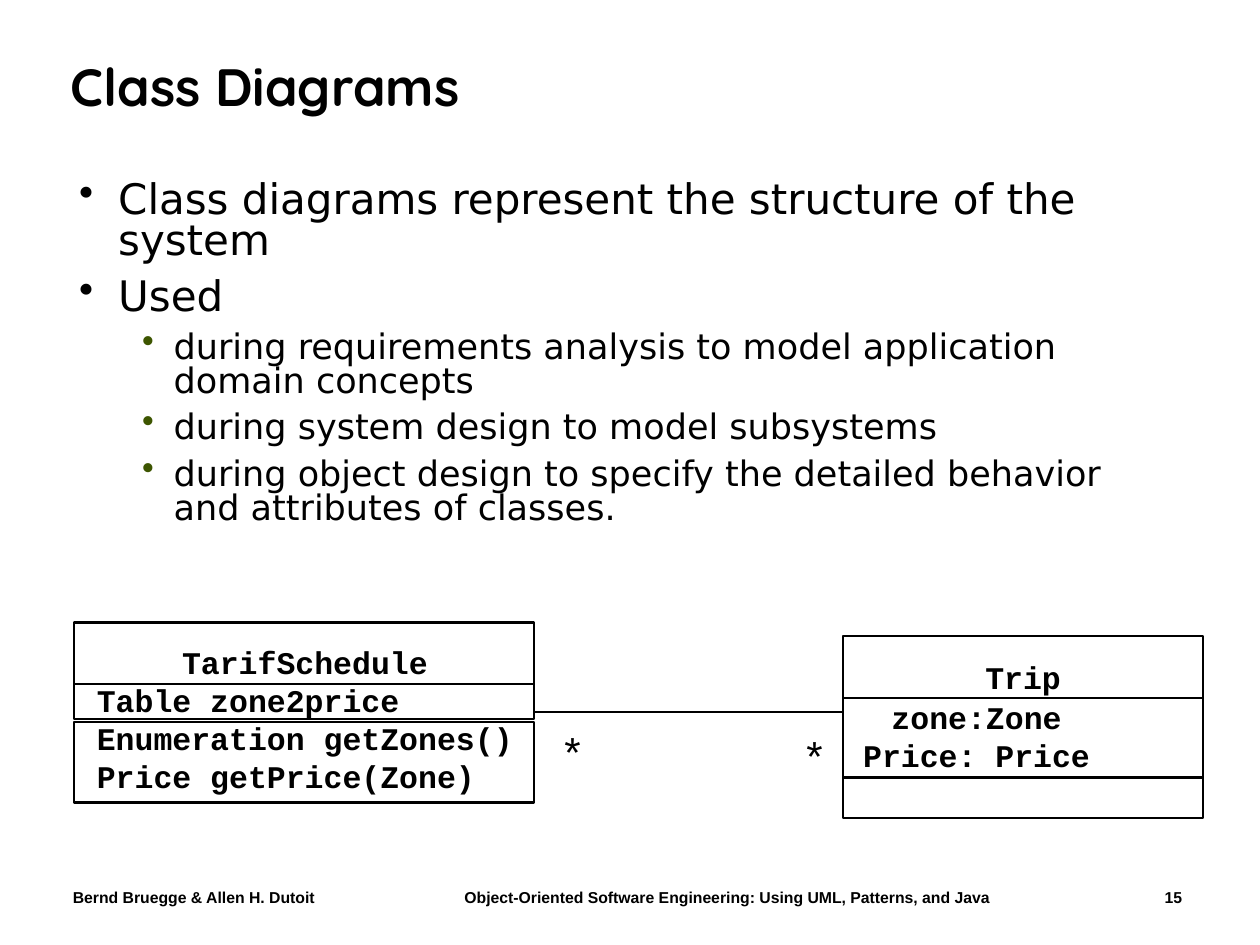
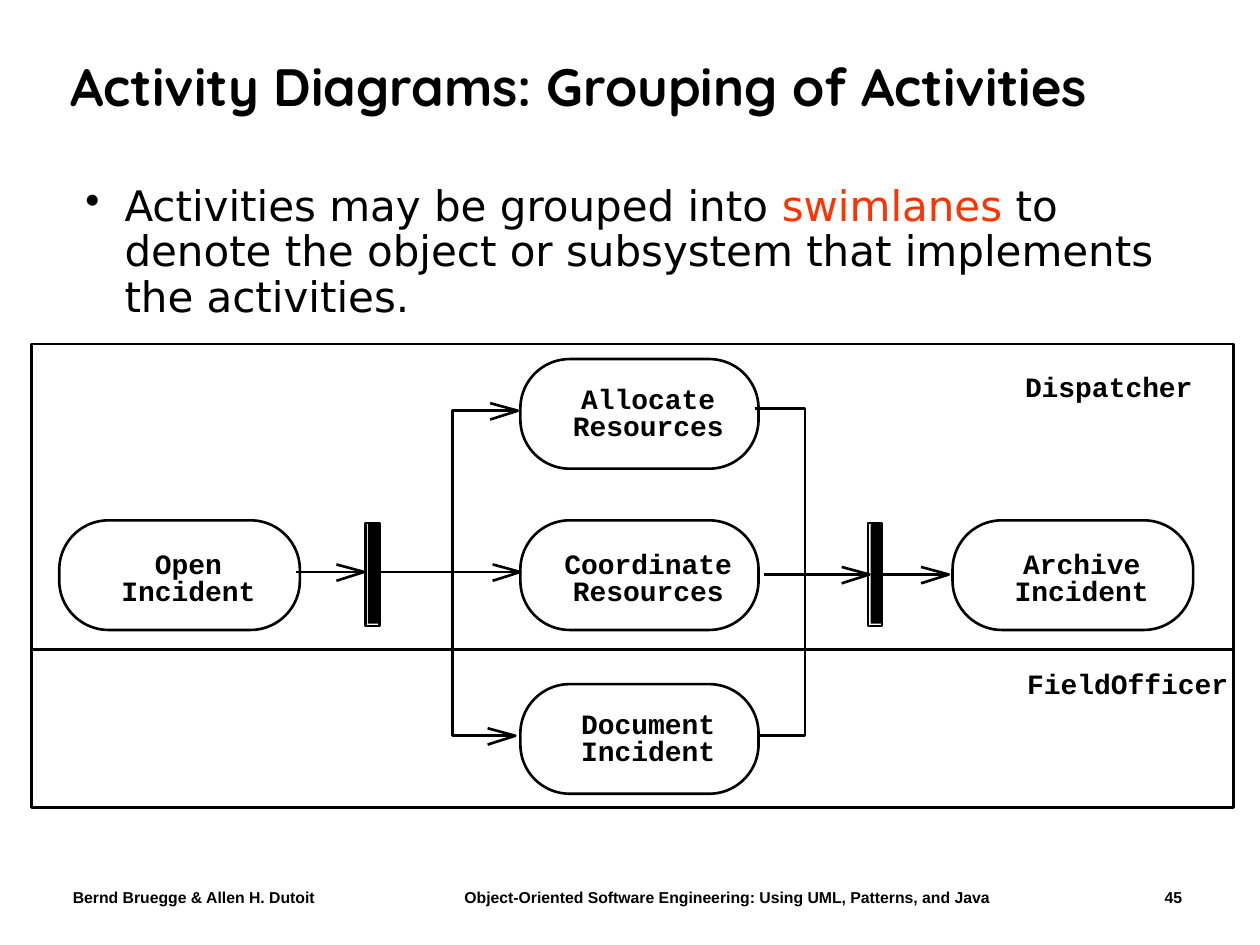
from lxml import etree
from pptx import Presentation
from pptx.dml.color import RGBColor
from pptx.enum.shapes import MSO_CONNECTOR, MSO_SHAPE
from pptx.enum.text import MSO_ANCHOR, PP_ALIGN
from pptx.oxml.ns import qn
from pptx.util import Cm, Pt

LEFT, CENTER, RIGHT = PP_ALIGN.LEFT, PP_ALIGN.CENTER, PP_ALIGN.RIGHT
TOP, MIDDLE = MSO_ANCHOR.TOP, MSO_ANCHOR.MIDDLE
RECT, ROUNDED = MSO_SHAPE.RECTANGLE, MSO_SHAPE.ROUNDED_RECTANGLE
STRAIGHT = MSO_CONNECTOR.STRAIGHT
BLACK, RED, GREEN = "000000", "FF3300", "3D5500"
TITLE_FONT, BODY_FONT, CODE_FONT, PLAIN_FONT = "Quicksand", "DejaVu Sans", "Courier New", "Arial"

# Content: all measures are on an inch grid, converted by size()
FOOTER = [  # text, left, width, alignment
    ("Bernd Bruegge & Allen H. Dutoit", 0.48, 2.6, LEFT),
    ("Object-Oriented Software Engineering: Using UML, Patterns, and Java", 3.27, 5, CENTER),
]
PAGE_NUMBER = (8.48, 1, RIGHT)

# Bullet levels: font size, left margin, hanging indent, space before, bullet colour
LEVELS = [(24, 0.31, 0.31, 9, BLACK), (20, 0.75, 0.25, 7.5, GREEN)]

CLASS_BULLETS = [  # level, spans of (text, colour)
    (0, [("Class diagrams represent the structure of the system", BLACK)]),
    (0, [("Used", BLACK)]),
    (1, [("during requirements analysis to model application domain concepts", BLACK)]),
    (1, [("during system design to model subsystems", BLACK)]),
    (1, [("during object design to specify the detailed behavior and attributes of classes.", BLACK)]),
]
ACTIVITY_BULLETS = [
    (0, [("Activities may be grouped into ", BLACK), ("swimlanes", RED),
         (" to denote the object or subsystem that implements the activities.", BLACK)]),
]

# Classes: left, width, then (top, height) of each compartment
CLASS_BOXES = [
    (0.59, 3.65, [(4.94, 0.49), (5.43, 0.28), (5.73, 0.64)]),
    (6.69, 2.86, [(5.05, 0.49), (5.54, 0.63), (6.17, 0.32)]),
]
CLASS_NAMES = [("TarifSchedule", 2.42, 5.1), ("Trip", 8.12, 5.22)]
SCHEDULE_MEMBERS = ["Table zone2price", "Enumeration getZones()", "Price getPrice(Zone)"]
TRIP_MEMBERS = ["zone:Zone", "Price: Price"]
MULTIPLICITIES = [("*", 4.38, 5.71), ("*", 6.3, 5.74)]

ACTIVITIES = [  # lines, left, top, width, label offset from top
    (["Open", "Incident"], 0.47, 4.13, 1.91, 0.21),
    (["Allocate", "Resources"], 4.13, 2.85, 1.89, 0.18),
    (["Coordinate", "Resources"], 4.13, 4.13, 1.89, 0.21),
    (["Document", "Incident"], 4.13, 5.43, 1.89, 0.18),
    (["Archive", "Incident"], 7.56, 4.13, 1.91, 0.21),
]
ACTIVITY_HEIGHT, LABEL_SHIFT, LABEL_STEP = 0.87, 0.07, 0.21
SYNC_BARS = [2.9, 6.89]
ARROWS = [  # start, end, height
    (2.35, 2.89, 4.54), (3.02, 4.13, 4.54), (6.06, 6.9, 4.56),
    (6.97, 7.53, 4.56), (3.87, 4.11, 3.26), (3.85, 4.09, 5.84),
]
BRANCHES = [
    [(3.87, 3.26), (3.59, 3.26), (3.59, 5.84), (3.85, 5.84)],
    [(5.99, 3.24), (6.39, 3.24), (6.39, 5.84), (6.02, 5.84)],
]
LANES = [  # name, name centre, name top, lane top, lane height
    ("Dispatcher", 8.8, 2.93, 2.73, 2.43),
    ("FieldOfficer", 8.95, 5.29, 5.15, 1.26),
]


def size(inches):
    return Cm(inches * 2.54)


def color(value):
    return RGBColor.from_string(value)


def format_span(span, points, font, bold=False, shade=BLACK):
    span.font.size, span.font.name, span.font.bold = Pt(points), font, bold
    span.font.color.rgb = color(shade)


def add_box(page, left, top, width, height, anchor=TOP, wrap=True, inset=True):
    box = page.shapes.add_textbox(size(left), size(top), size(width), size(height))
    frame = box.text_frame
    frame.word_wrap, frame.vertical_anchor = wrap, anchor
    frame.margin_left = frame.margin_right = size(0.1 if inset else 0)
    frame.margin_top = frame.margin_bottom = size(0.05 if inset else 0)
    return frame


def write(frame, lines, points, font, bold=True, align=LEFT):
    frame.text = "\n".join(lines)
    for para in frame.paragraphs:
        para.alignment = align
        for span in para.runs:
            format_span(span, points, font, bold)


def add_code(page, lines, center, top, points):
    """Centred code lines in a box as wide as the longest line."""
    width = max(map(len, lines)) * points * 0.6 / 72
    height = len(lines) * points / 60
    frame = add_box(page, center - width / 2, top, width, height, wrap=False, inset=False)
    write(frame, lines, points, CODE_FONT, align=CENTER)


def outline(shape, points):
    shape.shadow.inherit = False
    shape.fill.background()
    shape.line.color.rgb, shape.line.width = color(BLACK), Pt(points)


def add_outline(page, kind, left, top, width, height, points):
    shape = page.shapes.add_shape(kind, size(left), size(top), size(width), size(height))
    outline(shape, points)
    return shape


def add_line(page, start, end, height, points):
    line = page.shapes.add_connector(STRAIGHT, size(start), size(height), size(end), size(height))
    line.line.color.rgb, line.line.width = color(BLACK), Pt(points)
    etree.SubElement(line._element.spPr, qn("a:effectLst"))


def add_path(page, points):
    corners = [(size(x), size(y)) for x, y in points]
    builder = page.shapes.build_freeform(*corners[0])
    builder.add_line_segments(corners[1:], close=False)
    outline(builder.convert_to_shape(), 1.5)


def add_bullets(page, left, top, height, bullets, spacing):
    frame = add_box(page, left, top, 8.75, height)
    for index, (level, spans) in enumerate(bullets):
        points, margin, hanging, before, bullet_color = LEVELS[level]
        para = frame.add_paragraph() if index else frame.paragraphs[0]
        para.level = level
        props = para._p.get_or_add_pPr()
        props.set("marL", str(size(margin)))
        props.set("indent", str(-size(hanging)))
        shade = etree.SubElement(props, qn("a:buClr"))
        etree.SubElement(shade, qn("a:srgbClr"), val=bullet_color)
        etree.SubElement(props, qn("a:buChar"), char="•")
        para.line_spacing = spacing
        para.space_before = Pt(before if index else 0)
        for text, text_color in spans:
            span = para.add_run()
            span.text = text
            format_span(span, points, BODY_FONT, shade=text_color)


def add_page(deck, title, number):
    page = deck.slides.add_slide(deck.slide_layouts[6])
    for text, left, width, align in FOOTER + [(str(number), *PAGE_NUMBER)]:
        write(add_box(page, left, 7, width, 0.25), [text], 9, PLAIN_FONT, align=align)
    frame = add_box(page, 0.46, 0.24, 8.92, 0.94, MIDDLE)
    write(frame, [title], 30, TITLE_FONT)
    frame.paragraphs[0].line_spacing = 0.9
    return page


def build_class_page(deck):
    page = add_page(deck, "Class Diagrams", 15)
    add_bullets(page, 0.53, 1.4, 3.09, CLASS_BULLETS, 0.8)
    # Classes and their members
    for left, width, compartments in CLASS_BOXES:
        for top, height in compartments:
            add_outline(page, RECT, left, top, width, height, 1.25)
    for name, center, top in CLASS_NAMES:
        add_code(page, [name], center, top, 18)
    write(add_box(page, 0.67, 5.36, 3.62, 1), SCHEDULE_MEMBERS, 18, CODE_FONT)
    add_code(page, TRIP_MEMBERS, 7.75, 5.54, 18)
    # Association
    add_line(page, 4.24, 6.69, 5.65, 0.75)
    for mark, left, top in MULTIPLICITIES:
        frame = add_box(page, left, top, 0.33, 0.5, MIDDLE, wrap=False)
        write(frame, [mark], 24, PLAIN_FONT, bold=False, align=CENTER)


def build_activity_page(deck):
    page = add_page(deck, "Activity Diagrams: Grouping of Activities", 45)
    add_bullets(page, 0.58, 1.42, 5.25, ACTIVITY_BULLETS, 0.9)
    # Activities
    for lines, left, top, width, offset in ACTIVITIES:
        activity = add_outline(page, ROUNDED, left, top, width, ACTIVITY_HEIGHT, 1.5)
        activity.adjustments[0] = 0.45
        for row, text in enumerate(lines):
            add_code(page, [text], left + width / 2 + LABEL_SHIFT,
                     top + offset + row * LABEL_STEP, 16)
    # Synchronization bars: a solid core in a slightly larger frame
    for left in SYNC_BARS:
        core = add_outline(page, RECT, left + 0.02, 4.15, 0.09, 0.8, 1.5)
        core.fill.solid()
        core.fill.fore_color.rgb = color(BLACK)
        core.line.fill.background()
        add_outline(page, RECT, left, 4.15, 0.11, 0.82, 1.5)
    # Control flow with open arrowheads
    for start, end, height in ARROWS:
        add_line(page, start, end, height, 1.5)
        add_path(page, [(end - 0.22, height - 0.06), (end, height), (end - 0.22, height + 0.07)])
    for branch in BRANCHES:
        add_path(page, branch)
    # Swimlanes
    for name, center, name_top, top, height in LANES:
        add_outline(page, RECT, 0.25, top, 9.54, height, 1.5)
        add_code(page, [name], center, name_top, 16)


def main():
    deck = Presentation()
    deck.slide_width, deck.slide_height = Cm(25.4), Cm(19.05)
    build_class_page(deck)
    build_activity_page(deck)
    deck.save("out.pptx")


if __name__ == "__main__":
    main()
